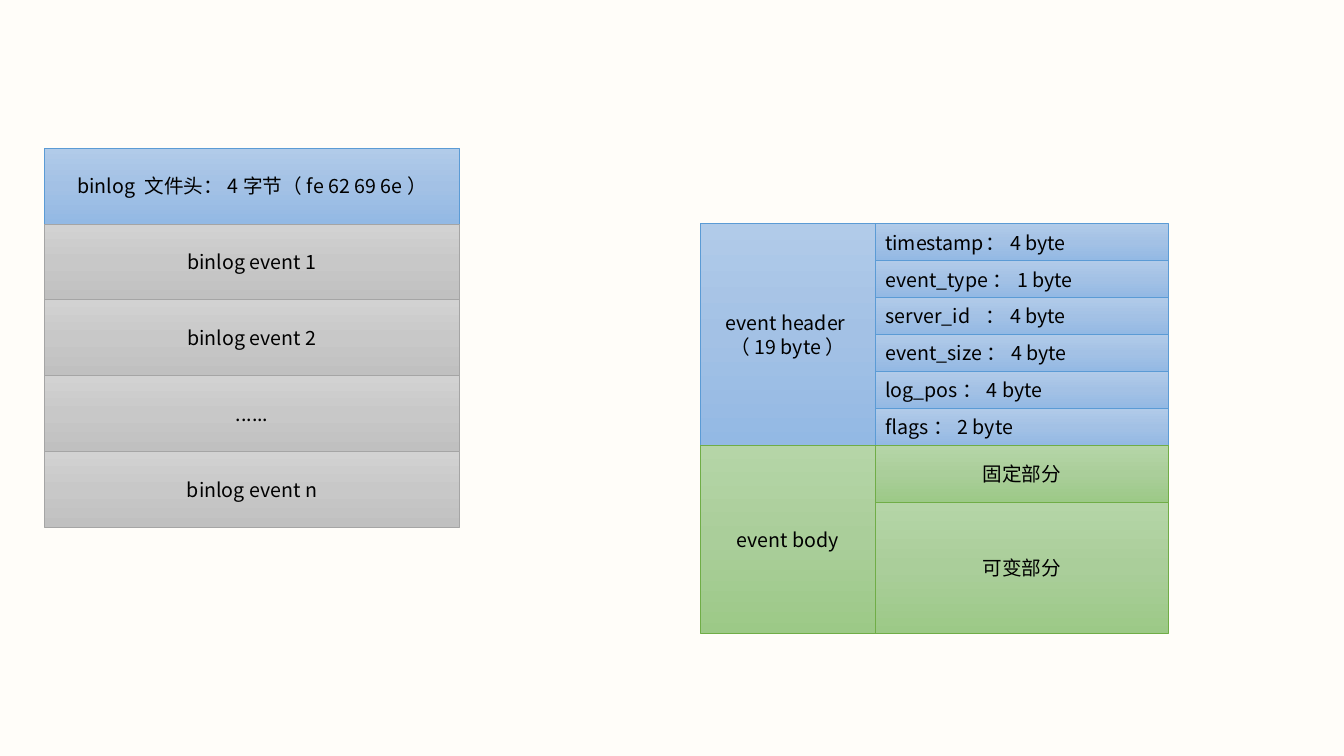
from copy import deepcopy

from lxml.etree import SubElement
from pptx import Presentation
from pptx.dml.color import RGBColor
from pptx.enum.shapes import MSO_SHAPE
from pptx.enum.text import MSO_ANCHOR, PP_ALIGN
from pptx.oxml.ns import qn
from pptx.util import Inches, Pt

FONT = "Noto Sans CJK SC"
BLUE = ("B1CBE9", "A3C1E5", "93B9E4", "5B9BD5")
GRAY = ("D2D2D2", "C8C8C8", "C0C0C0", "A5A5A5")
GREEN = ("B5D5A7", "AACE9A", "9CC987", "70AD47")

FILE_LEFT, FILE_TOP, FILE_WIDTH, FILE_ROW = 0.44, 1.47, 4.12, 0.752
EVENT_LEFT, EVENT_TOP, LABEL_WIDTH, DETAIL_WIDTH = 6.95, 2.22, 1.73, 2.91
HEADER_HEIGHT, FIXED_HEIGHT, VARIABLE_HEIGHT = 2.2, 0.56, 1.3

FILE_PARTS = ["binlog 文件头：4字节（fe 62 69 6e）", "binlog event 1",
              "binlog event 2", "......", "binlog event n"]
HEADER_FIELDS = ["timestamp\t：4 byte", "event_type：1 byte", "server_id\t：4 byte",
                 "event_size：4 byte", "log_pos：4 byte", "flags：2 byte"]


def color(hex_value):
    return RGBColor.from_string(hex_value)


def fill_gradient(fill, colors):
    fill.gradient()
    fill.gradient_angle = 270
    first = fill.gradient_stops[0]._gs
    first.addnext(deepcopy(first))
    for stop, position, hex_value in zip(fill.gradient_stops, (0, 0.5, 1), colors):
        stop.position = position
        stop.color.rgb = color(hex_value)


def add_block(slide, text, left, top, width, height, palette, align=PP_ALIGN.CENTER):
    shape = slide.shapes.add_shape(MSO_SHAPE.RECTANGLE, Inches(left), Inches(top),
                                   Inches(width), Inches(height))
    shape.shadow.inherit = False
    fill_gradient(shape.fill, palette[:3])
    shape.line.color.rgb = color(palette[3])
    shape.line.width = Pt(0.5)
    frame = shape.text_frame
    frame.text = text
    frame.word_wrap = True
    frame.vertical_anchor = MSO_ANCHOR.MIDDLE
    paragraph = frame.paragraphs[0]
    paragraph.alignment = align
    for run in paragraph.runs:
        run.font.size = Pt(14)
        run.font.name = FONT
        run.font.color.rgb = color("000000")
        SubElement(run.font._element, qn("a:ea"), typeface=FONT)


def add_stack(slide, texts, left, top, width, row_height, palettes, align=PP_ALIGN.CENTER):
    for row, (text, palette) in enumerate(zip(texts, palettes)):
        add_block(slide, text, left, top + row * row_height, width, row_height, palette, align)


def add_event(slide):
    detail_left = EVENT_LEFT + LABEL_WIDTH
    body_top = EVENT_TOP + HEADER_HEIGHT
    add_block(slide, "event header（19 byte）", EVENT_LEFT, EVENT_TOP,
              LABEL_WIDTH, HEADER_HEIGHT, BLUE)
    add_stack(slide, HEADER_FIELDS, detail_left, EVENT_TOP, DETAIL_WIDTH,
              HEADER_HEIGHT / len(HEADER_FIELDS), [BLUE] * len(HEADER_FIELDS), PP_ALIGN.LEFT)
    add_block(slide, "event body", EVENT_LEFT, body_top,
              LABEL_WIDTH, FIXED_HEIGHT + VARIABLE_HEIGHT, GREEN)
    add_block(slide, "固定部分", detail_left, body_top, DETAIL_WIDTH, FIXED_HEIGHT, GREEN)
    add_block(slide, "可变部分", detail_left, body_top + FIXED_HEIGHT,
              DETAIL_WIDTH, VARIABLE_HEIGHT, GREEN)


def main():
    presentation = Presentation()
    presentation.slide_width = Inches(13.33)
    presentation.slide_height = Inches(7.5)
    slide = presentation.slides.add_slide(presentation.slide_layouts[6])
    slide.background.fill.solid()
    slide.background.fill.fore_color.rgb = color("FFFDF9")
    add_stack(slide, FILE_PARTS, FILE_LEFT, FILE_TOP, FILE_WIDTH, FILE_ROW, [BLUE] + [GRAY] * 4)
    add_event(slide)
    presentation.save("out.pptx")


if __name__ == "__main__":
    main()
